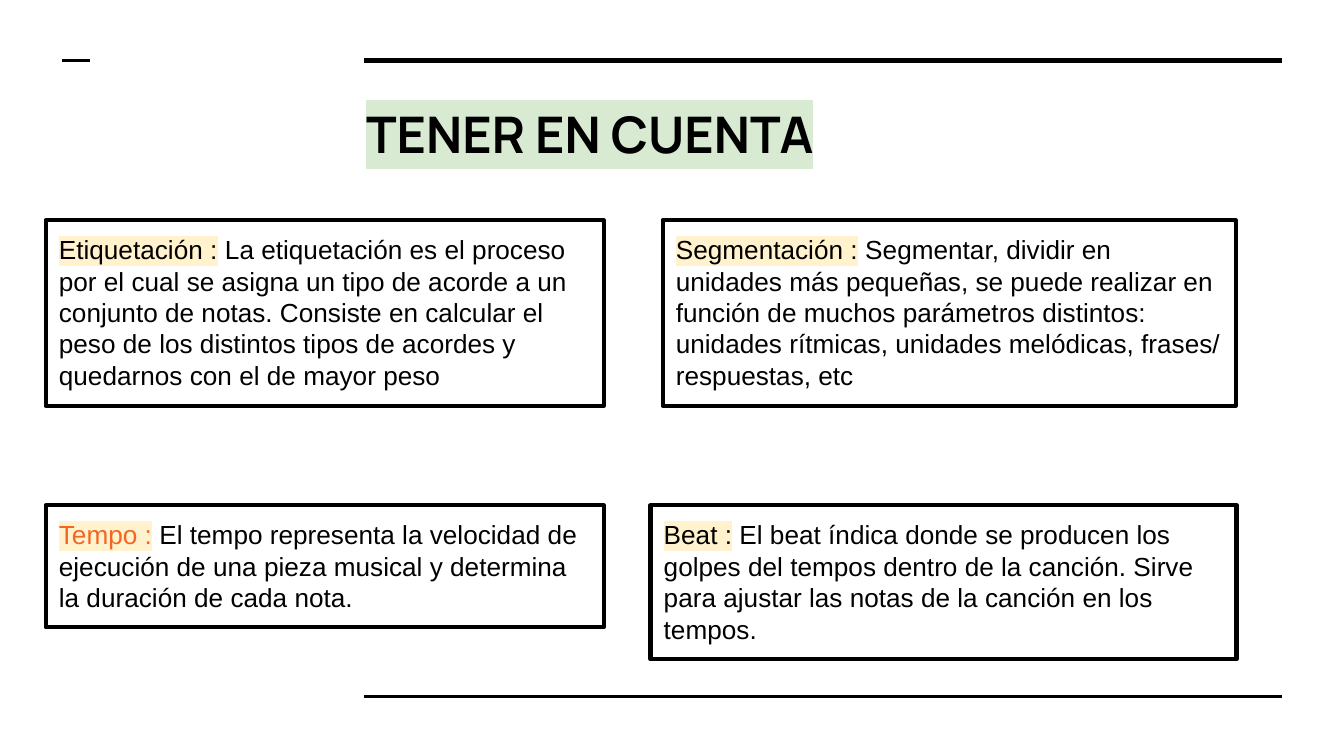
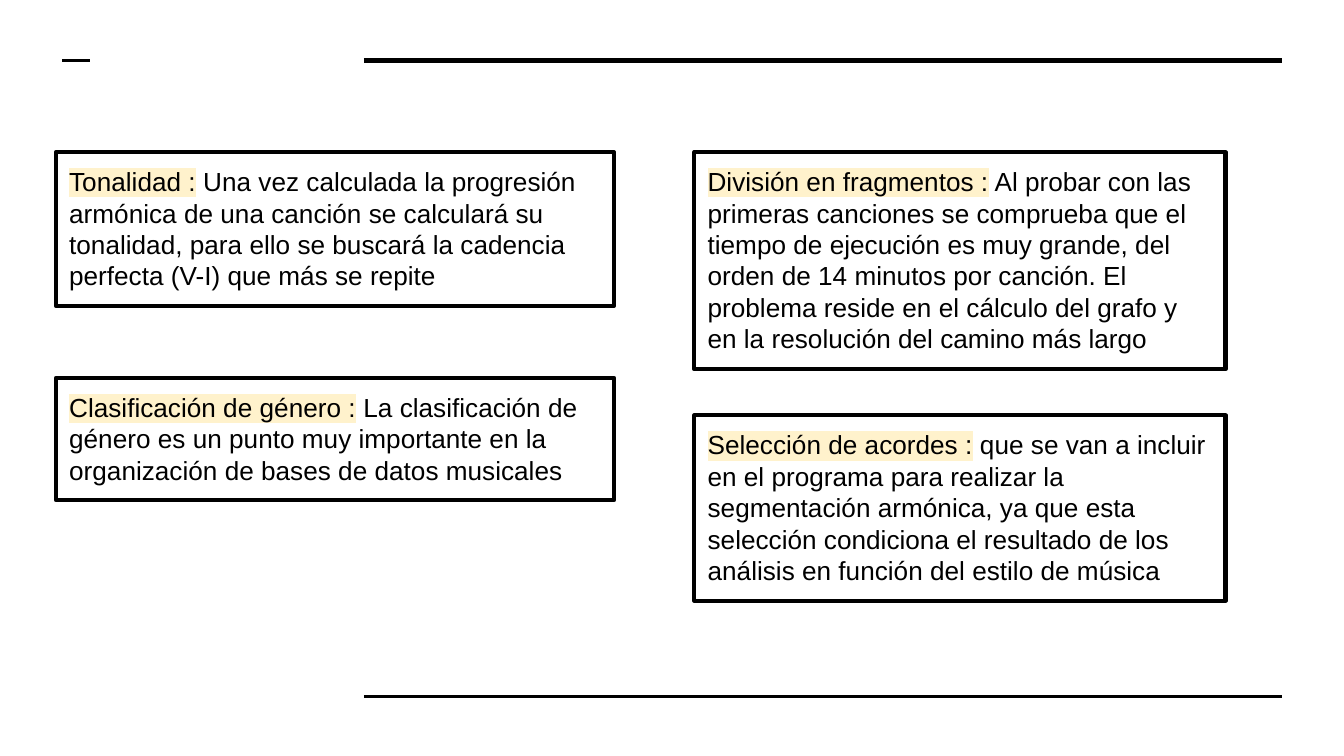
import dataclasses

import lxml.etree
import pptx
import pptx.dml.color
import pptx.enum.shapes
import pptx.enum.text
import pptx.oxml.ns
import pptx.util

Pt = pptx.util.Pt
Anchor = pptx.enum.text.MSO_ANCHOR


@dataclasses.dataclass(frozen=True)
class Theme:
    ink: str = "000000"
    paper: str = "FFFFFF"
    accent: str = "F46524"
    green: str = "D9EAD3"
    cream: str = "FFF2CC"
    head_font: str = "Manrope"
    body_font: str = "Arial"
    head_size: float = 27
    body_size: float = 14
    row: float = 17
    inset: float = 7.2
    border: float = 2.25


THEME = Theme()
PAGE = (0, 0, 720, 405)

# Each card: left, top, width, text rows, term, definition, term colour
CARDS_ONE = [
    (24.5, 118, 299, 5, "Etiquetación :",
     " La etiquetación es el proceso por el cual se asigna un tipo de acorde a un "
     "conjunto de notas. Consiste en calcular el peso de los distintos tipos de "
     "acordes y quedarnos con el de mayor peso", THEME.ink),
    (355, 118, 307, 5, "Segmentación :",
     " Segmentar, dividir en unidades más pequeñas, se puede realizar en función de "
     "muchos parámetros distintos: unidades rítmicas, unidades melódicas, frases/ "
     "respuestas, etc", THEME.ink),
    (24.5, 270.7, 299, 3, "Tempo :",
     " El tempo representa la velocidad de ejecución de una pieza musical y determina "
     "la duración de cada nota.", THEME.accent),
    (348.5, 270.7, 314, 4, "Beat :",
     " El beat índica donde se producen los golpes del tempos dentro de la canción. "
     "Sirve para ajustar las notas de la canción en los tempos.", THEME.ink),
]
CARDS_TWO = [
    (30, 81.5, 299, 4, "Tonalidad :",
     " Una vez calculada la progresión armónica de una canción se calculará su "
     "tonalidad, para ello se buscará la cadencia perfecta (V-I) que más se repite",
     THEME.ink),
    (30, 202.5, 299, 3, "Clasificación de género :",
     " La clasificación de género es un punto muy importante en la organización de "
     "bases de datos musicales", THEME.ink),
    (372, 81.5, 284.5, 6, "División en fragmentos :",
     " Al probar con las primeras canciones se comprueba que el tiempo de ejecución "
     "es muy grande, del orden de 14 minutos por canción. El problema reside en el "
     "cálculo del grafo y en la resolución del camino más largo", THEME.ink),
    (372, 222.5, 284.5, 5, "Selección de acordes :",
     " que se van a incluir en el programa para realizar la segmentación armónica, ya "
     "que esta selección condiciona el resultado de los análisis en función del estilo "
     "de música", THEME.ink),
]


def rgb(code):
    return pptx.dml.color.RGBColor.from_string(code)


def apply(item, values):
    for name, value in values.items():
        setattr(item, name, value)


def add_node(parent, tag):
    return lxml.etree.SubElement(parent, pptx.oxml.ns.qn(tag))


def set_frame(frame, anchor):
    sides = ("left", "top", "right", "bottom")
    apply(frame, {f"margin_{side}": Pt(THEME.inset) for side in sides})
    apply(frame, {"word_wrap": True, "vertical_anchor": anchor})


def add_run(para, text, style, color, mark=None):
    """Add a run; mark is the highlight colour behind it."""
    run = para.add_run()
    run.text = text
    apply(run.font, style)
    run.font.color.rgb = rgb(color)
    if mark:
        props = run.font.fill._xPr
        light = add_node(props, "a:highlight")
        add_node(light, "a:srgbClr").set("val", mark)
        props.find(pptx.oxml.ns.qn("a:solidFill")).addnext(light)


def draw_rules(slide, box):
    left, top, width, height = box
    start, end = left + 195, left + width - 33
    high, low = top + 32.5, top + height - 32
    for x1, x2, y, weight in (
        (start, end, high, 3),
        (start, end, low, 1.5),
        (left + 33.5, left + 48, high, 1.5),
    ):
        rule = slide.shapes.add_connector(
            pptx.enum.shapes.MSO_CONNECTOR.STRAIGHT, Pt(x1), Pt(y), Pt(x2), Pt(y))
        rule.line.color.rgb = rgb(THEME.ink)
        rule.line.width = Pt(weight)
        add_node(rule._element.spPr, "a:effectLst")


def draw_title(slide, box, text):
    shape = slide.shapes.add_textbox(*map(Pt, box))
    set_frame(shape.text_frame, Anchor.BOTTOM)
    style = {"name": THEME.head_font, "size": Pt(THEME.head_size), "bold": True}
    add_run(shape.text_frame.paragraphs[0], text, style, THEME.ink, THEME.green)


def draw_card(slide, box, term, body, color):
    shape = slide.shapes.add_shape(
        pptx.enum.shapes.MSO_SHAPE.RECTANGLE, *map(Pt, box))
    shape.shadow.inherit = False
    shape.fill.background()
    shape.line.color.rgb = rgb(THEME.ink)
    shape.line.width = Pt(THEME.border)
    add_node(shape.line._ln, "a:round")
    set_frame(shape.text_frame, Anchor.TOP)
    para = shape.text_frame.paragraphs[0]
    para.alignment = pptx.enum.text.PP_ALIGN.LEFT
    style = {"name": THEME.body_font, "size": Pt(THEME.body_size)}
    add_run(para, term, style, color, THEME.cream)
    add_run(para, body, style, THEME.ink)


def draw_slide(deck, cards, title=None):
    slide = deck.slides.add_slide(deck.slide_layouts[6])
    slide.background.fill.solid()
    slide.background.fill.fore_color.rgb = rgb(THEME.paper)
    draw_rules(slide, PAGE)
    if title:
        draw_title(slide, (189, 45.5, 497.5, 49.5), title)
    for left, top, width, rows, term, body, color in cards:
        height = rows * THEME.row + 2 * THEME.inset
        draw_card(slide, (left, top, width, height), term, body, color)


def main():
    deck = pptx.Presentation()
    apply(deck, {"slide_width": Pt(PAGE[2]), "slide_height": Pt(PAGE[3])})
    draw_slide(deck, CARDS_ONE, "TENER EN CUENTA")
    draw_slide(deck, CARDS_TWO)
    deck.save("out.pptx")


if __name__ == "__main__":
    main()
